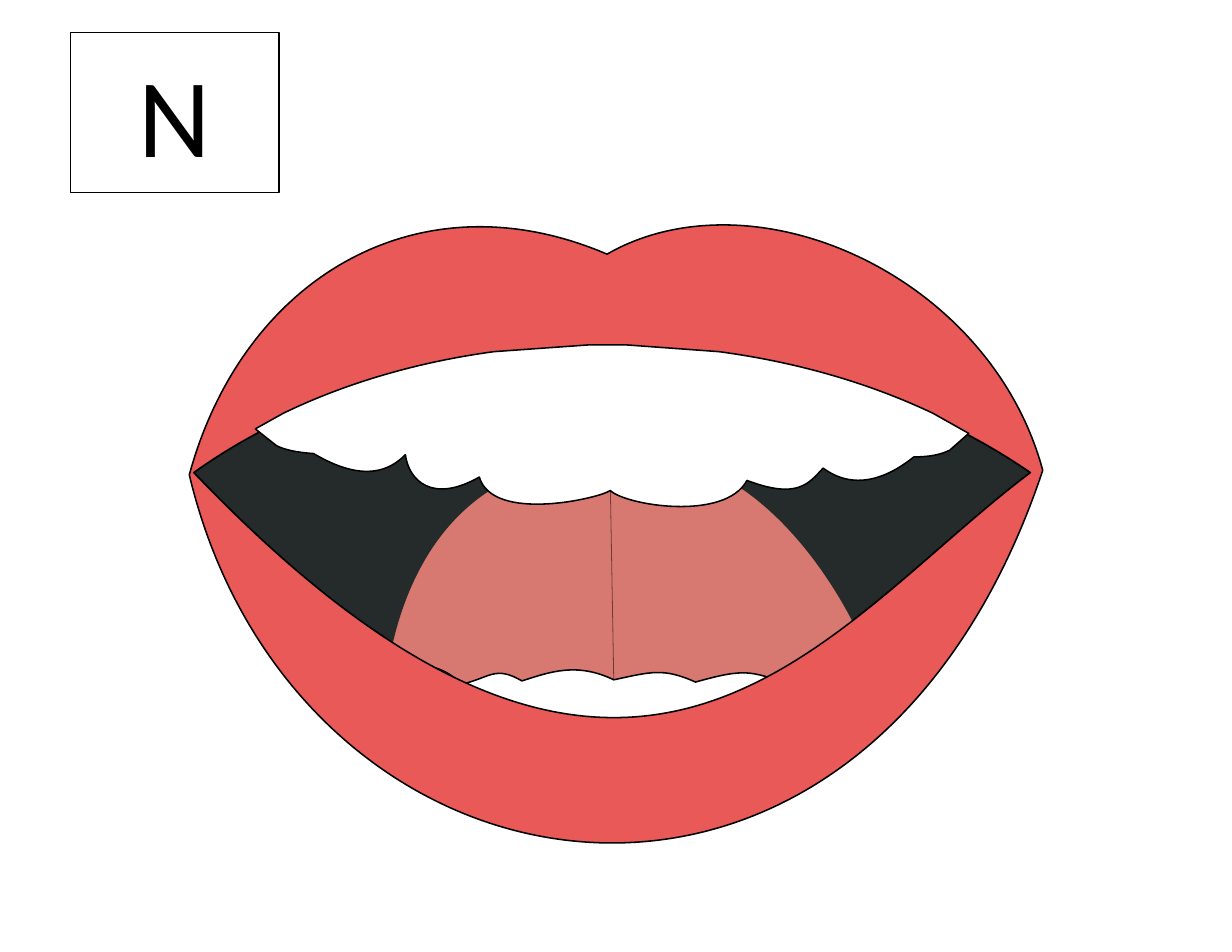
from dataclasses import dataclass

from lxml import etree
from pptx import Presentation
from pptx.dml.color import RGBColor
from pptx.enum.shapes import MSO_CONNECTOR, MSO_SHAPE
from pptx.enum.text import MSO_ANCHOR, PP_ALIGN
from pptx.oxml.ns import qn
from pptx.util import Pt

RECT = MSO_SHAPE.RECTANGLE
LINE = MSO_CONNECTOR.STRAIGHT
MIDDLE = MSO_ANCHOR.MIDDLE
CENTER = PP_ALIGN.CENTER
PX = 9144
WIDE, HIGH = 1100, 850
STEPS = 24


@dataclass(frozen=True)
class Theme:
    white: str = "FFFFFF"
    black: str = "000000"
    dark: str = "252B2A"
    tongue: str = "D77971"
    lip: str = "E95958"
    font: str = "Calibri"
    size: int = 72
    edge: float = 1
    thin: float = 0.5


THEME = Theme()

MOUTH = [
    (544, 312),
    (679, 312, 814, 349, 920, 422),
    (734, 562, 568, 835, 173, 422),
    (275, 349, 409, 312, 544, 312),
]
TONGUE = [
    (560, 411),
    (695, 384, 802, 605, 786, 643),
    (584, 784, 388, 689, 340, 655),
    (345, 491, 429, 398, 560, 411),
]
LOWER = [
    (372, 659),
    (290, 655, 360, 557, 412, 611),
    (438, 605, 442, 594, 466, 608),
    (491, 600, 515, 591, 548, 607),
    (581, 600, 592, 596, 621, 609),
    (667, 596, 670, 600, 703, 610),
    (762, 563, 814, 653, 759, 661),
    (598, 687, 508, 703, 372, 659),
]
LIPS = [
    (652, 201),
    (769, 204, 896, 290, 931, 420),
    (769, 905, 263, 819, 169, 424),
    (217, 248, 374, 155, 542, 227),
    (575, 208, 613, 200, 652, 201),
]
UPPER = [
    (525, 308),
    (560, 308),
    (642, 314),
    (709, 323, 774, 341, 833, 369),
    (865, 387),
    (848, 402),
    (840, 406, 830, 408, 816, 408),
    (791, 428, 762, 438, 735, 418),
    (722, 432, 712, 446, 667, 429),
    (647, 466, 558, 451, 545, 438),
    (535, 445, 440, 467, 428, 426),
    (386, 450, 365, 429, 362, 406),
    (335, 434, 299, 416, 280, 405),
    (266, 404, 255, 402, 247, 398),
    (228, 383),
    (253, 369),
    (311, 341, 375, 323, 441, 314),
    (525, 308),
]


def paint(shape, fill, line):
    shape.shadow.inherit = False
    shape.fill.solid()
    shape.fill.fore_color.rgb = RGBColor.from_string(fill)
    shape.line.color.rgb = RGBColor.from_string(line)
    shape.line.width = Pt(THEME.edge)


def add_box(shapes, left, top, wide, high, line):
    box = shapes.add_shape(RECT, left * PX, top * PX, wide * PX, high * PX)
    paint(box, THEME.white, line)
    return box


def add_label(box, text):
    frame = box.text_frame
    frame.vertical_anchor = MIDDLE
    para = frame.paragraphs[0]
    para.text = text
    para.alignment = CENTER
    para.font.name = THEME.font
    para.font.size = Pt(THEME.size)
    para.font.color.rgb = RGBColor.from_string(THEME.black)


def curve(start, seg):
    knots = [start, seg[:2], seg[2:4], seg[4:]]
    for step in range(1, STEPS + 1):
        t = step / STEPS
        u = 1 - t
        parts = (u**3, 3 * u * u * t, 3 * u * t * t, t**3)
        yield tuple(sum(w * k[axis] for w, k in zip(parts, knots)) for axis in (0, 1))


def trace(outline):
    points = [outline[0]]
    for seg in outline[1:]:
        points.extend([seg] if len(seg) == 2 else curve(points[-1], seg))
    return [(round(x * PX), round(y * PX)) for x, y in points]


def add_step(track, tag, seg, left, top):
    step = etree.SubElement(track, qn(tag))
    for x, y in zip(seg[::2], seg[1::2]):
        point = etree.SubElement(step, qn("a:pt"))
        point.set("x", str(x * PX - left))
        point.set("y", str(y * PX - top))


def bend(shape, outlines):
    track = shape._element.spPr.find(".//" + qn("a:path"))
    for step in list(track):
        track.remove(step)
    left, top = shape.left, shape.top
    for outline in outlines:
        add_step(track, "a:moveTo", outline[0], left, top)
        for seg in outline[1:]:
            tag = "a:lnTo" if len(seg) == 2 else "a:cubicBezTo"
            add_step(track, tag, seg, left, top)
        etree.SubElement(track, qn("a:close"))


def add_form(shapes, outlines, fill, line):
    start, *rest = trace(outlines[0])
    form = shapes.build_freeform(*start, scale=1.0)
    form.add_line_segments(rest, close=True)
    shape = form.convert_to_shape()
    bend(shape, outlines)
    paint(shape, fill, line)


def add_crease(shapes, start, end):
    crease = shapes.add_connector(LINE, *(n * PX for n in start + end))
    crease.line.color.rgb = RGBColor.from_string(THEME.black)
    crease.line.width = Pt(THEME.thin)
    props = crease._element.spPr
    tint = props.find(".//" + qn("a:srgbClr"))
    etree.SubElement(tint, qn("a:alpha")).set("val", "50000")
    etree.SubElement(props, qn("a:effectLst"))


def main():
    deck = Presentation()
    deck.slide_width, deck.slide_height = WIDE * PX, HIGH * PX
    slide = deck.slides.add_slide(deck.slide_layouts[6])
    add_box(slide.shapes, 0, 0, WIDE, HIGH, THEME.white)
    card = add_box(slide.shapes, 63, 29, 186, 143, THEME.black)
    add_label(card, "N")

    face = slide.shapes.add_group_shape().shapes
    add_form(face, [MOUTH], THEME.dark, THEME.black)
    add_form(face, [TONGUE], THEME.tongue, THEME.dark)
    add_form(face, [LOWER], THEME.white, THEME.black)
    add_form(face, [LIPS, MOUTH], THEME.lip, THEME.black)
    add_form(face, [UPPER], THEME.white, THEME.black)
    add_crease(face, (545, 438), (548, 607))
    deck.save("out.pptx")


if __name__ == "__main__":
    main()
